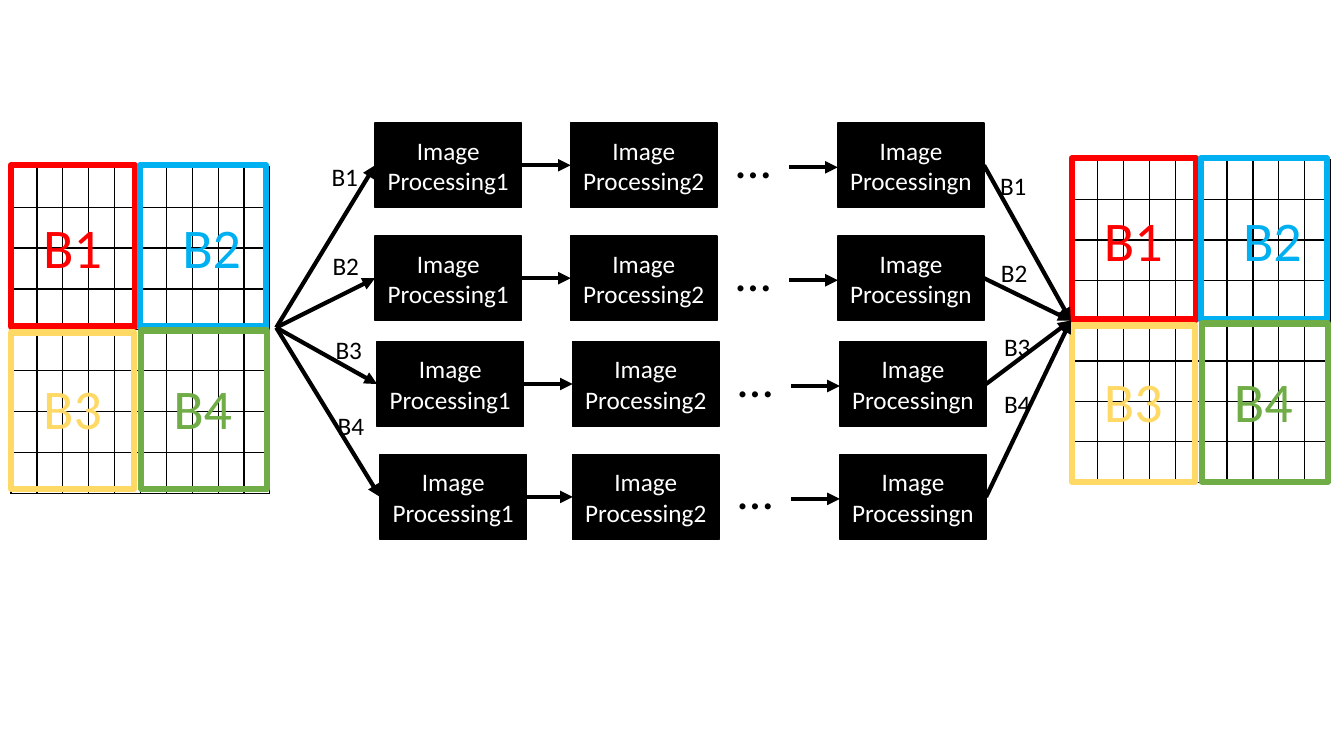
import pptx
import pptx.dml.color
import pptx.enum.shapes
import pptx.enum.text
import pptx.oxml
import pptx.oxml.ns
import pptx.util
from pptx.util import Inches

COLORS = {"black": "000000", "white": "FFFFFF", "red": "FF0000",
          "blue": "00B0F0", "yellow": "FFD966", "green": "70AD47"}
FONT = "Calibri"
BLOCKS = ["B1", "B2", "B3", "B4"]

# Box and letter position of each block, relative to its grid
BLOCK_PARTS = [
    ("red", (0, 0, 1.23, 1.6), (0.22, 0.42)),
    ("blue", (1.28, 0, 1.25, 1.6), (1.6, 0.42)),
    ("yellow", (0, 1.66, 1.22, 1.55), (0.22, 2.02)),
    ("green", (1.29, 1.64, 1.25, 1.57), (1.51, 2.02)),
]
# Lane top, shift of the whole lane, extra shift of its first step
LANES = [(1.22, 0, 0), (2.34, 0, 0), (3.39, 0.02, 0), (4.51, 0.02, 0.03)]
STEP_WIDTH, STEP_HEIGHT = 1.45, 0.84
FIRST_LEFT, SECOND_LEFT, LAST_LEFT = 3.72, 5.66, 8.31
SPLIT_POINT, MERGE_POINT = (2.74, 3.25), (10.62, 3.18)
SPLIT_LABELS = [(3.19, 1.55), (3.2, 2.43), (3.23, 3.27), (3.25, 4.02)]
MERGE_LABELS = [(9.82, 1.64), (9.83, 2.5), (9.86, 3.24), (9.86, 3.8)]


def color(name):
    return pptx.dml.color.RGBColor.from_string(COLORS[name])


def add_run(paragraph, text, size, color_name):
    run = paragraph.add_run()
    run.text = text
    run.font.size = pptx.util.Pt(size)
    run.font.name = FONT
    run.font.color.rgb = color(color_name)


def add_label(slide, box, text, size, color_name):
    label = slide.shapes.add_textbox(*map(Inches, box))
    frame = label.text_frame
    frame.word_wrap = False
    frame.auto_size = pptx.enum.text.MSO_AUTO_SIZE.SHAPE_TO_FIT_TEXT
    add_run(frame.paragraphs[0], text, size, color_name)


def add_rectangle(slide, box, line_color, line_width):
    rectangle = slide.shapes.add_shape(
        pptx.enum.shapes.MSO_SHAPE.RECTANGLE, *map(Inches, box))
    rectangle.shadow.inherit = False
    rectangle.fill.background()
    rectangle.line.color.rgb = color(line_color)
    rectangle.line.width = pptx.util.Pt(line_width)
    return rectangle


def add_arrow(slide, start, end):
    arrow = slide.shapes.add_connector(
        pptx.enum.shapes.MSO_CONNECTOR.STRAIGHT, *map(Inches, (*start, *end)))
    arrow.line.color.rgb = color("black")
    arrow.line.width = pptx.util.Pt(3)
    head = pptx.oxml.ns.qn("a:tailEnd")
    arrow.line._get_or_add_ln().append(
        arrow._element.makeelement(head, {"type": "triangle"}))
    properties = arrow._element.spPr
    properties.append(properties.makeelement(pptx.oxml.ns.qn("a:effectLst"), {}))


def add_cell_borders(cell):
    properties = cell._tc.get_or_add_tcPr()
    for index, side in enumerate(("lnL", "lnR", "lnT", "lnB")):
        border = pptx.oxml.parse_xml(
            f'<a:{side} {pptx.oxml.ns.nsdecls("a")} w="12700"><a:solidFill>'
            f'<a:srgbClr val="{COLORS["black"]}"/></a:solidFill></a:{side}>')
        properties.insert(index, border)


def add_pixel_grid(slide, left, top):
    """Draw the pixel table with its four coloured blocks."""
    frame = slide.shapes.add_table(
        8, 10, Inches(left), Inches(top + 0.01), Inches(2.57), Inches(3.2))
    table = frame.table
    table.first_row = False
    table.horz_banding = False
    for cell in table.iter_cells():
        cell.fill.background()
        add_cell_borders(cell)
    for name, (block_color, box, _) in zip(BLOCKS, BLOCK_PARTS):
        x, y, width, height = box
        add_rectangle(slide, (left + x, top + y, width, height), block_color, 4.5)
    for name, (block_color, _, (x, y)) in zip(BLOCKS, BLOCK_PARTS):
        add_label(slide, (left + x, top + y, 0.79, 0.77), name, 40, block_color)


def add_step(slide, left, top, suffix):
    step = add_rectangle(slide, (left, top, STEP_WIDTH, STEP_HEIGHT), "black", 1)
    step.fill.solid()
    step.fill.fore_color.rgb = color("black")
    step.text_frame.word_wrap = True
    step.text_frame.vertical_anchor = pptx.enum.text.MSO_ANCHOR.MIDDLE
    paragraph = step.text_frame.paragraphs[0]
    paragraph.alignment = pptx.enum.text.PP_ALIGN.CENTER
    add_run(paragraph, f"Image Processing{suffix}", 18, "white")


def add_lane(slide, top, shift, first_shift):
    """Draw one chain of steps with the arrows that split and merge it."""
    middle = top + STEP_HEIGHT / 2
    first = FIRST_LEFT + shift + first_shift
    second, last = SECOND_LEFT + shift, LAST_LEFT + shift
    add_arrow(slide, SPLIT_POINT, (first, middle))
    for left, suffix in ((first, "1"), (second, "2"), (last, "n")):
        add_step(slide, left, top, suffix)
    add_arrow(slide, (second - 0.48, middle), (second, middle))
    add_label(slide, (second + 1.54, top, 0.55, 0.71), "…", 36, "black")
    add_arrow(slide, (last - 0.48, middle + 0.02), (last, middle + 0.02))
    add_arrow(slide, (last + STEP_WIDTH, middle), MERGE_POINT)


def add_lane_labels(slide, positions):
    for name, (left, top) in zip(BLOCKS, positions):
        add_label(slide, (left, top, 0.47, 0.4), name, 18, "black")


def main():
    presentation = pptx.Presentation()
    presentation.slide_width = Inches(13.33)
    presentation.slide_height = Inches(7.5)
    slide = presentation.slides.add_slide(presentation.slide_layouts[6])
    add_pixel_grid(slide, 0.11, 1.64)
    add_pixel_grid(slide, 10.63, 1.57)
    for lane in LANES:
        add_lane(slide, *lane)
    add_lane_labels(slide, SPLIT_LABELS)
    add_lane_labels(slide, MERGE_LABELS)
    presentation.save("out.pptx")


if __name__ == "__main__":
    main()
